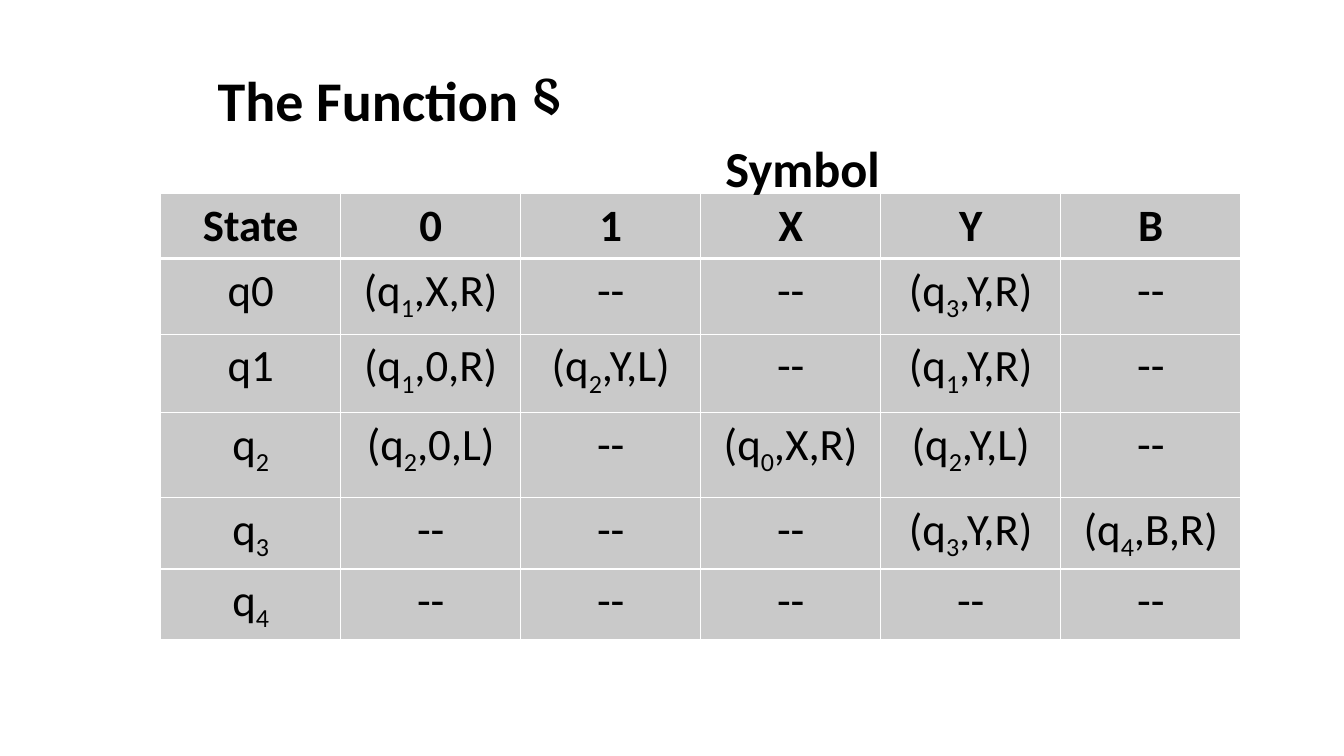
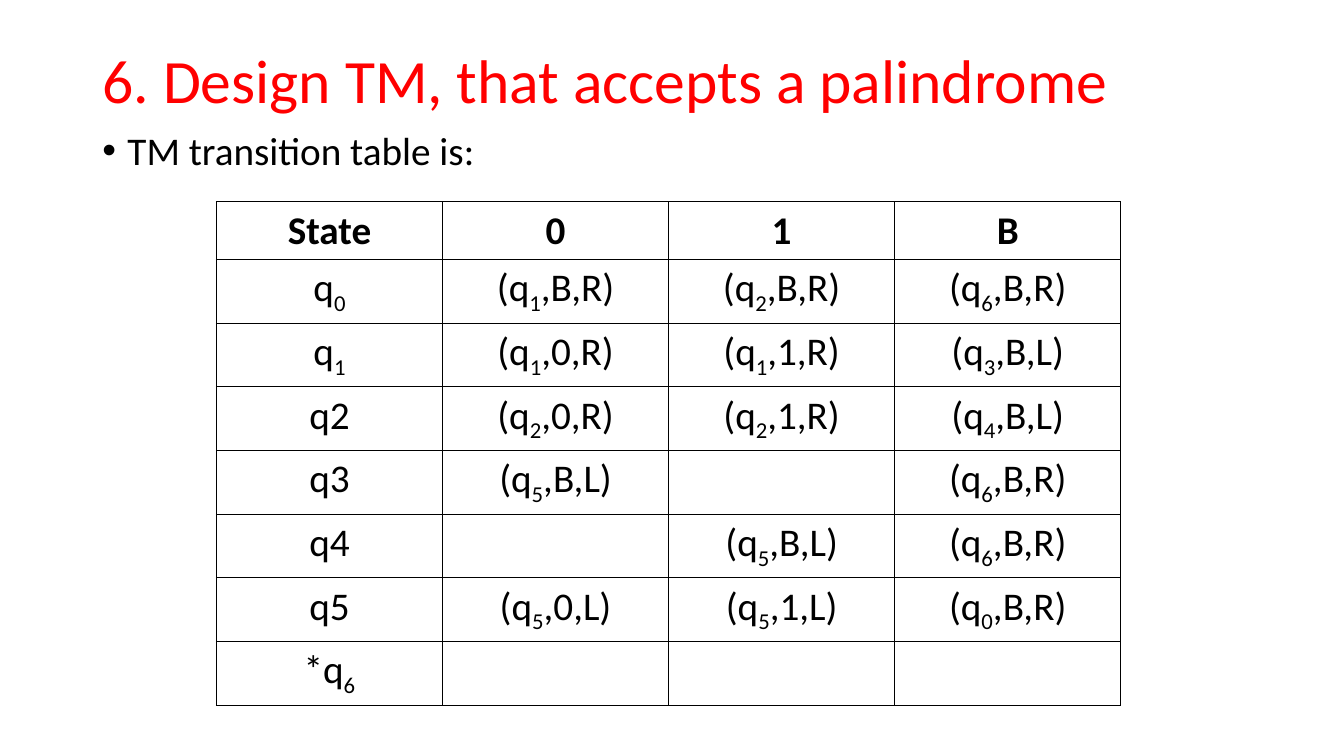
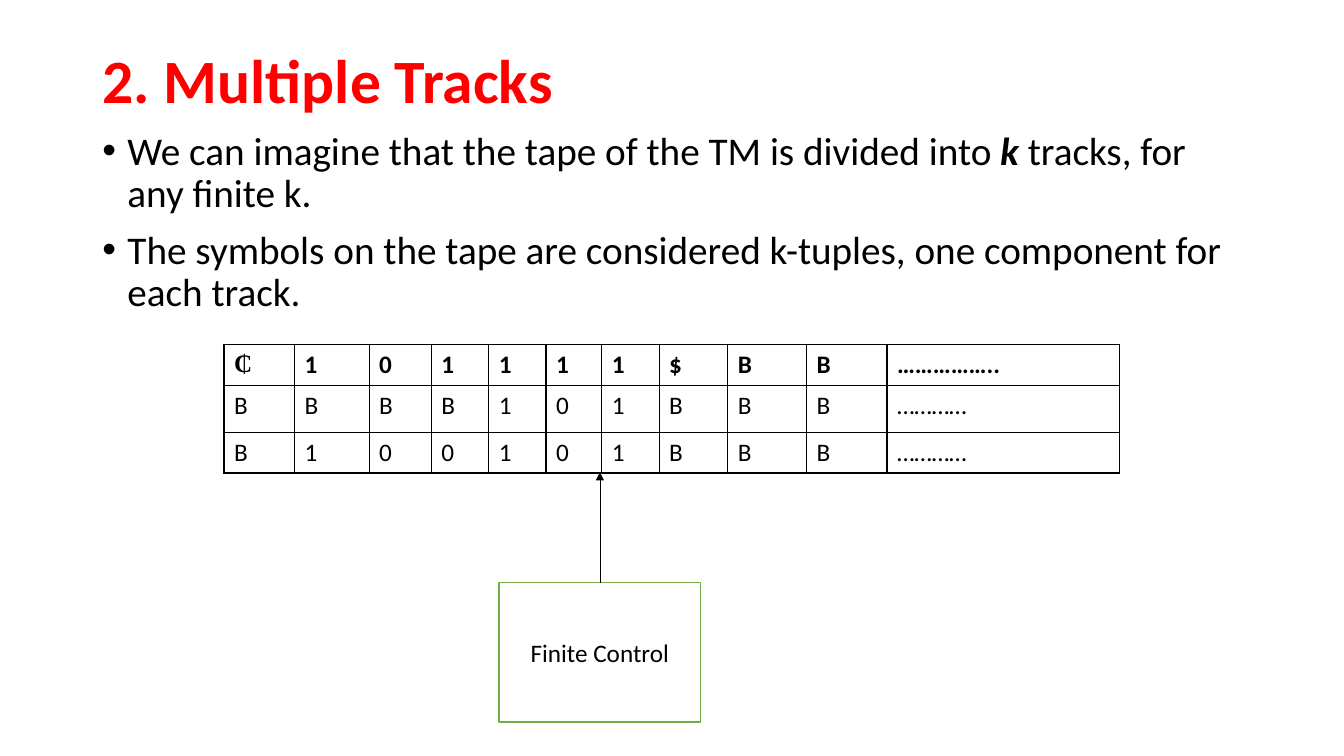
from lxml.etree import SubElement
from pptx import Presentation
from pptx.dml.color import RGBColor
from pptx.enum.shapes import MSO_CONNECTOR, MSO_SHAPE
from pptx.enum.text import MSO_ANCHOR, MSO_AUTO_SIZE, PP_ALIGN
from pptx.oxml.ns import qn
from pptx.util import Pt

BLACK = RGBColor(0x00, 0x00, 0x00)
WHITE = RGBColor(0xFF, 0xFF, 0xFF)
RED = RGBColor(0xFF, 0x00, 0x00)
GREY = RGBColor(0xC9, 0xC9, 0xC9)
GREEN = RGBColor(0x70, 0xAD, 0x47)

SANS = "Calibri"
SERIF = "Times New Roman"
SERIF_SYMBOLS = ("⸹", "₵")
TITLE_ONLY = 5

HEADING_BOX = (66, 28.8, 828, 61.5)
BULLET_BOX = (66, 90.4, 828, 395)

FUNCTION_ROWS = [
    ["State", "0", "1", "X", "Y", "B"],
    ["q0", "(q_1,X,R)", "--", "--", "(q_3,Y,R)", "--"],
    ["q1", "(q_1,0,R)", "(q_2,Y,L)", "--", "(q_1,Y,R)", "--"],
    ["q_2", "(q_2,0,L)", "--", "(q_0,X,R)", "(q_2,Y,L)", "--"],
    ["q_3", "--", "--", "--", "(q_3,Y,R)", "(q_4,B,R)"],
    ["q_4", "--", "--", "--", "--", "--"],
]
PALINDROME_ROWS = [
    ["State", "0", "1", "B"],
    ["q_0", "(q_1,B,R)", "(q_2,B,R)", "(q_6,B,R)"],
    ["q_1", "(q_1,0,R)", "(q_1,1,R)", "(q_3,B,L)"],
    ["q2", "(q_2,0,R)", "(q_2,1,R)", "(q_4,B,L)"],
    ["q3", "(q_5,B,L)", "", "(q_6,B,R)"],
    ["q4", "", "(q_5,B,L)", "(q_6,B,R)"],
    ["q5", "(q_5,0,L)", "(q_5,1,L)", "(q_0,B,R)"],
    ["*q_6", "", "", ""],
]
TRACK_ROWS = [
    [*"₵101111$BB", "……………..",],
    [*"BBBB101BBB", "…………"],
    [*"B100101BBB", "…………"],
]


def style_run(run, size, color=BLACK, bold=False, italic=False):
    run.font.name = SERIF if run.text in SERIF_SYMBOLS else SANS
    run.font.size = Pt(size)
    run.font.color.rgb = color
    run.font.bold = bold
    run.font.italic = italic


def add_styled_run(paragraph, text, size, **style):
    run = paragraph.add_run()
    run.text = text
    style_run(run, size, **style)
    return run


def write_state(paragraph, label, size, bold):
    lead, *indexed_parts = label.split("_")
    if lead:
        add_styled_run(paragraph, lead, size, bold=bold)
    for part in indexed_parts:
        index = add_styled_run(paragraph, part[0], size, bold=bold)
        index._r.get_or_add_rPr().set("baseline", "-25000")
        if part[1:]:
            add_styled_run(paragraph, part[1:], size, bold=bold)


def add_bullet(paragraph):
    properties = paragraph._p.get_or_add_pPr()
    properties.set("marL", str(Pt(18)))
    properties.set("indent", str(-Pt(18)))
    SubElement(properties, qn("a:buFont")).set("typeface", "Arial")
    SubElement(properties, qn("a:buChar")).set("char", "•")


def set_border(cell, side, color, width):
    line = SubElement(cell._tc.get_or_add_tcPr(), qn("a:ln" + side))
    line.set("w", str(Pt(width)))
    fill = SubElement(line, qn("a:solidFill"))
    SubElement(fill, qn("a:srgbClr")).set("val", str(color))


def place_title(slide, box, runs, size, color=BLACK, bold=False,
                anchor=MSO_ANCHOR.MIDDLE, spacing=0.9):
    title = slide.shapes.title
    title.left, title.top, title.width, title.height = map(Pt, box)
    frame = title.text_frame
    frame.word_wrap = True
    frame.auto_size = MSO_AUTO_SIZE.NONE
    frame.vertical_anchor = anchor
    paragraph = frame.paragraphs[0]
    paragraph.alignment = PP_ALIGN.LEFT
    paragraph.line_spacing = spacing
    for text in runs:
        add_styled_run(paragraph, text, size, color=color, bold=bold)


def place_heading(slide, text, bold=False):
    place_title(slide, HEADING_BOX, [text], 44, RED, bold)


def place_bullets(slide, box, bullets):
    frame = slide.shapes.add_textbox(*map(Pt, box)).text_frame
    frame.word_wrap = True
    for number, pieces in enumerate(bullets):
        paragraph = frame.add_paragraph() if number else frame.paragraphs[0]
        paragraph.line_spacing = 0.9
        paragraph.space_before = Pt(10 if number else 0)
        add_bullet(paragraph)
        for text, emphasis in pieces:
            add_styled_run(paragraph, text, 28, bold=emphasis, italic=emphasis)


def place_caption(slide, box, text):
    frame = slide.shapes.add_textbox(*map(Pt, box)).text_frame
    frame.word_wrap = True
    paragraph = frame.paragraphs[0]
    paragraph.text = text
    paragraph.alignment = PP_ALIGN.CENTER
    style_run(paragraph.runs[0], 36, bold=True)


def place_table(slide, left, top, widths, heights, rows, size, fill, border,
                align=PP_ALIGN.CENTER, header_rule=1):
    table = slide.shapes.add_table(
        len(rows), len(widths), Pt(left), Pt(top),
        Pt(sum(widths)), Pt(sum(heights))).table
    table.horz_banding = False
    for column, width in zip(table.columns, widths):
        column.width = Pt(width)
    for row_number, (labels, height) in enumerate(zip(rows, heights)):
        table.rows[row_number].height = Pt(height)
        rules = {"L": 1, "R": 1,
                 "T": header_rule if row_number == 1 else 1,
                 "B": header_rule if row_number == 0 else 1}
        for column_number, label in enumerate(labels):
            cell = table.cell(row_number, column_number)
            for side, width in rules.items():
                set_border(cell, side, border, width)
            cell.fill.solid()
            cell.fill.fore_color.rgb = fill
            paragraph = cell.text_frame.paragraphs[0]
            paragraph.alignment = align
            write_state(paragraph, label, size, row_number == 0)


def place_finite_control(slide, left, top, width, height, reach):
    control = slide.shapes.add_shape(
        MSO_SHAPE.RECTANGLE, Pt(left), Pt(top), Pt(width), Pt(height))
    control.shadow.inherit = False
    control.fill.solid()
    control.fill.fore_color.rgb = WHITE
    control.line.color.rgb = GREEN
    control.line.width = Pt(1)
    control.text_frame.vertical_anchor = MSO_ANCHOR.MIDDLE
    paragraph = control.text_frame.paragraphs[0]
    paragraph.text = "Finite Control"
    paragraph.alignment = PP_ALIGN.CENTER
    style_run(paragraph.runs[0], 18)

    middle = Pt(left + width / 2)
    head = slide.shapes.add_connector(
        MSO_CONNECTOR.STRAIGHT, middle, Pt(top), middle, Pt(top - reach))
    head.begin_connect(control, 0)
    head.line.color.rgb = BLACK
    head.line.width = Pt(0.5)
    SubElement(head.line._get_or_add_ln(), qn("a:tailEnd")).set("type", "triangle")
    SubElement(head._element.spPr, qn("a:effectLst"))


def build_function_slide(slide):
    place_title(slide, (148.3, 43.2, 454.3, 55.4), ["The Function ", "⸹"], 40,
                bold=True, anchor=MSO_ANCHOR.TOP, spacing=1)
    place_table(slide, 114.8, 138.4, [128.6] * 6,
                [45.5, 54, 56, 60.8, 51, 50.4], FUNCTION_ROWS, 32,
                GREY, WHITE, header_rule=3)
    place_caption(slide, (375, 94.3, 396.7, 51), "Symbol")


def build_palindrome_slide(slide):
    place_heading(slide, "6. Design TM, that accepts a palindrome")
    place_bullets(slide, BULLET_BOX, [[("TM transition table is:", False)]])
    place_table(slide, 154.6, 144.2, [161.5] * 4, [41.2] + [45.3] * 7,
                PALINDROME_ROWS, 28, WHITE, BLACK)


def build_tracks_slide(slide):
    place_heading(slide, "2. Multiple Tracks", bold=True)
    place_bullets(slide, BULLET_BOX, [
        [("We can imagine that the tape of the TM is divided into ", False),
         ("k ", True),
         ("tracks, for any finite k.", False)],
        [("The symbols on the tape are considered k-tuples, "
          "one component for each track.", False)],
    ])
    place_table(slide, 160, 246.3,
                [50.4, 53.3, 44.4, 41, 41, 39.8, 41, 49, 56.4, 57.4, 166.3],
                [29.2, 33.2, 29.2], TRACK_ROWS, 18, WHITE, BLACK,
                align=PP_ALIGN.LEFT)
    place_finite_control(slide, 356.5, 416.2, 144, 99.5, 79)


def main():
    deck = Presentation()
    deck.slide_width, deck.slide_height = Pt(960), Pt(540)
    for build in (build_function_slide, build_palindrome_slide, build_tracks_slide):
        build(deck.slides.add_slide(deck.slide_layouts[TITLE_ONLY]))
    deck.save("out.pptx")


if __name__ == "__main__":
    main()
